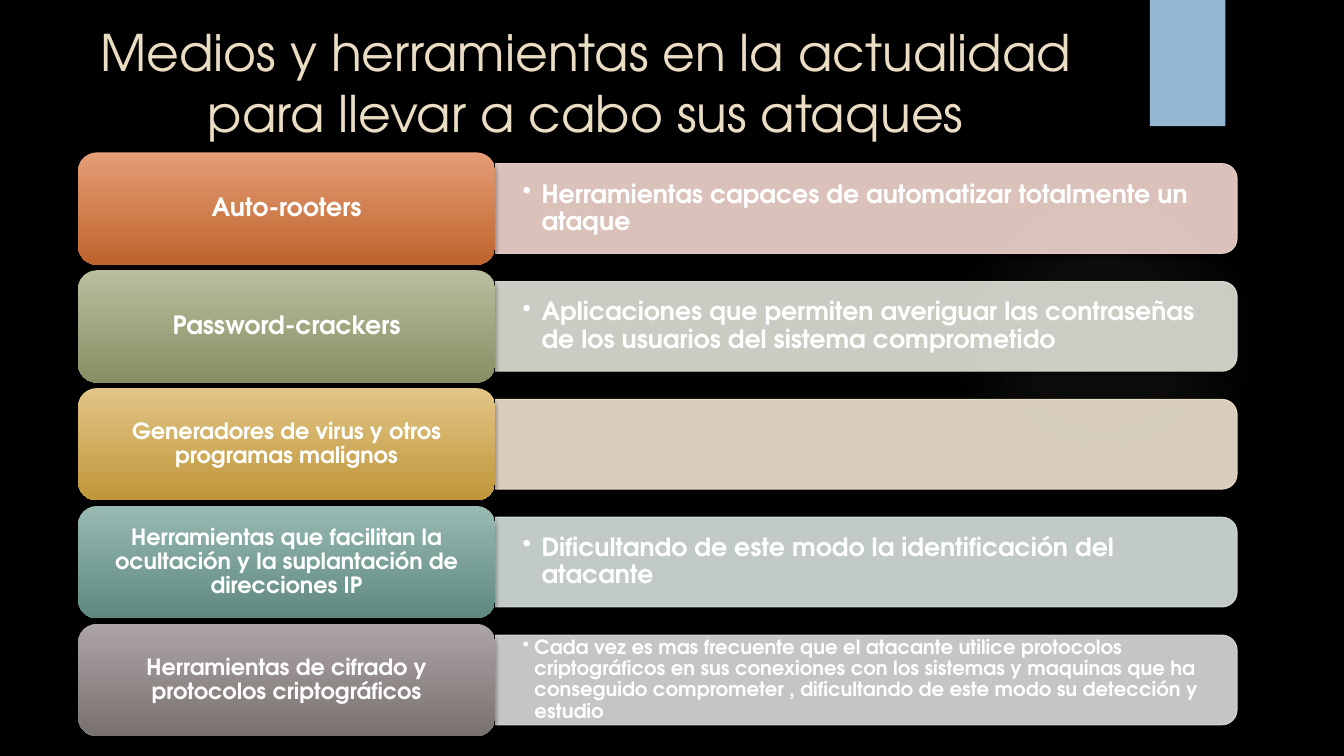
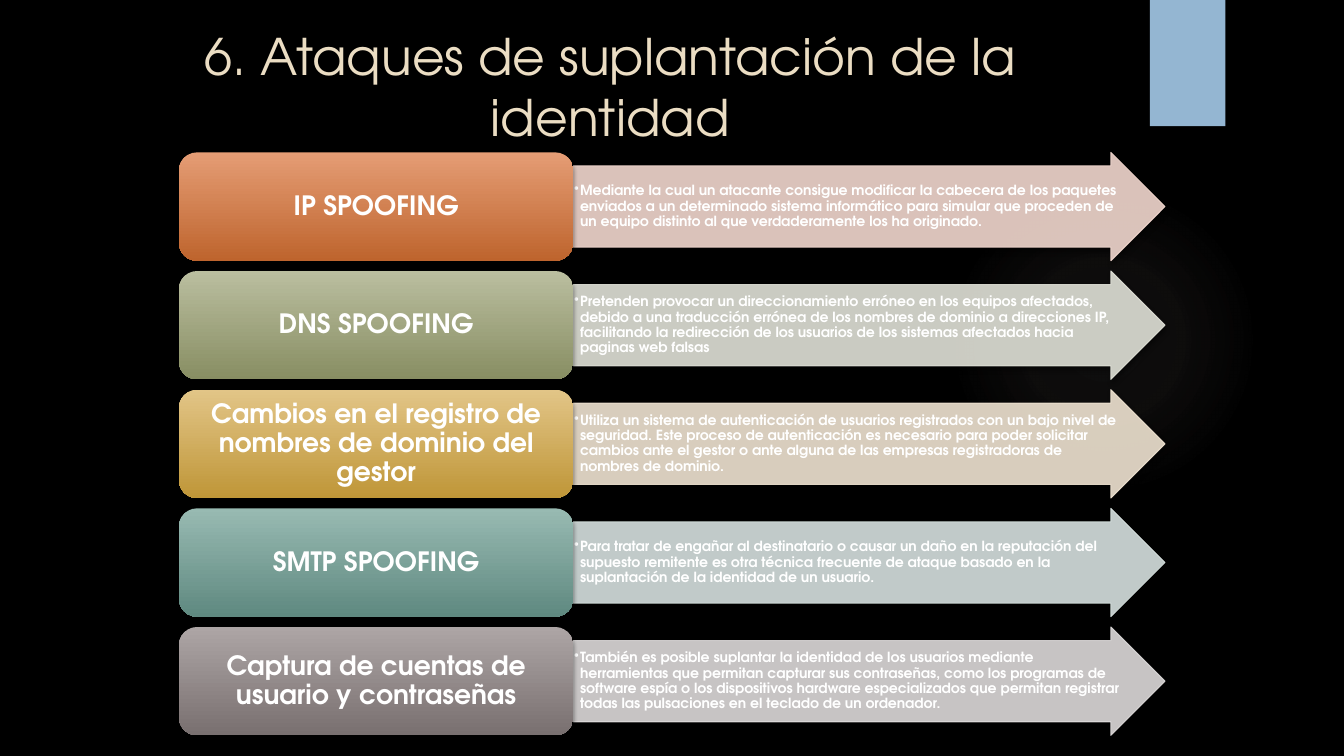
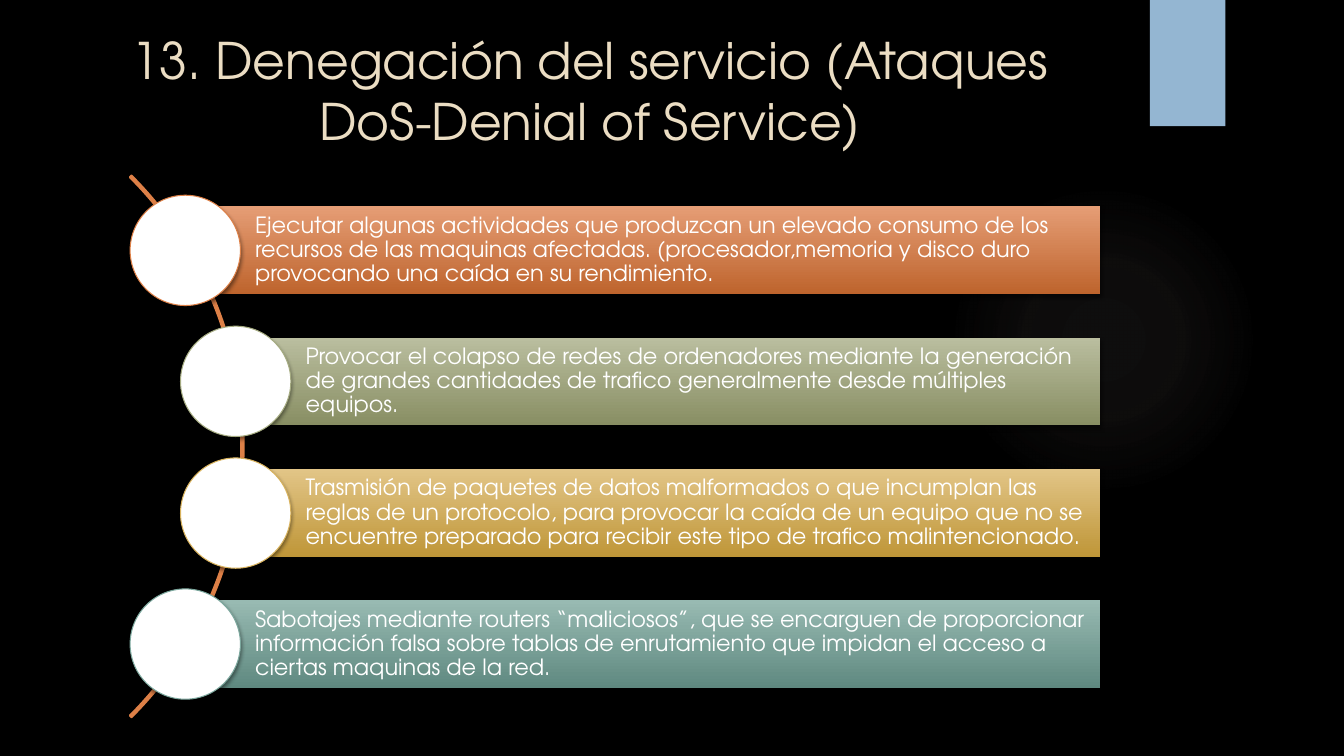
import pptx
import pptx.dml.color
import pptx.enum.dml
import pptx.enum.shapes
import pptx.enum.text
import pptx.oxml
import pptx.oxml.ns
import pptx.util
from dataclasses import dataclass
from typing import Any, Optional, Sequence

Cm = pptx.util.Cm
Pt = pptx.util.Pt
Shape = pptx.enum.shapes.MSO_SHAPE
Align = pptx.enum.text.PP_ALIGN
Anchor = pptx.enum.text.MSO_ANCHOR

# Shared look
FONT = "TeX Gyre Adventor"
BLACK, WHITE = "000000", "FFFFFF"
TITLE_COLOUR, RIBBON_COLOUR, GLOW_COLOUR = "EBDDC3", "94B6D2", "CCBEB8"
NAMESPACE = pptx.oxml.ns.nsdecls("a")


@dataclass(frozen=True)
class Accent:
    base: str
    light: str
    dark: str
    tint: str


ACCENTS = [
    Accent("DD8047", "E59D75", "BE642D", "F2D8CF"),
    Accent("A5AB81", "BABE9F", "888E63", "E1E2D8"),
    Accent("D8B25C", "E2C587", "BF9638", "F0E4D2"),
    Accent("7BA79D", "98BAB2", "5F8980", "D7E1DF"),
    Accent("968C8C", "ADA5A5", "797070", "DDDADA"),
]


@dataclass(frozen=True)
class Box:
    """A rectangle in centimetres."""
    left: float
    top: float
    width: float
    height: float

    @property
    def middle(self) -> float:
        return self.top + self.height / 2

    def lengths(self) -> list[Any]:
        return [Cm(round(v, 2)) for v in (self.left, self.top, self.width, self.height)]


@dataclass(frozen=True)
class TextStyle:
    size: float
    colour: str = WHITE
    bold: bool = False
    align: Any = Align.LEFT
    anchor: Any = Anchor.MIDDLE
    insets: tuple[float, float, float, float] = (0.1, 0.1, 0.1, 0.1)
    spacing: float = 0.9
    hang: float = 0


@dataclass(frozen=True)
class Row:
    label: str
    detail: str = ""
    label_size: float = 19
    detail_size: float = 10
    hang: float = 0.15


# Content
TOOLS = [
    Row("Auto-rooters", "Herramientas capaces de automatizar totalmente un ataque", 18, 18, 0.48),
    Row("Password-crackers", "Aplicaciones que permiten averiguar las contraseñas de los usuarios "
        "del sistema comprometido", 18, 18, 0.48),
    Row("Generadores de virus y otros programas malignos", label_size=16),
    Row("Herramientas que facilitan la ocultación y la suplantación de direcciones IP",
        "Dificultando de este modo la identificación del atacante", 16, 18, 0.48),
    Row("Herramientas de cifrado y protocolos criptográficos",
        "Cada vez es mas frecuente que el atacante utilice protocolos criptográficos en sus "
        "conexiones con los sistemas y maquinas que ha conseguido comprometer , dificultando "
        "de este modo su detección y estudio", 16, 14, 0.3),
]

SPOOFING = [
    Row("IP SPOOFING", "Mediante la cual un atacante consigue modificar la cabecera de los "
        "paquetes enviados a un determinado sistema informático para simular que proceden de un "
        "equipo distinto al que verdaderamente los ha originado."),
    Row("DNS SPOOFING", "Pretenden provocar un direccionamiento erróneo en los equipos afectados, "
        "debido a una traducción errónea de los nombres de dominio a direcciones IP, facilitando "
        "la redirección de los usuarios de los sistemas afectados hacia paginas web falsas"),
    Row("Cambios en el registro de nombres de dominio del gestor",
        "Utiliza un sistema de autenticación de usuarios registrados con un bajo nivel de "
        "seguridad. Este proceso de autenticación es necesario para poder solicitar cambios ante "
        "el gestor o ante alguna de las empresas registradoras de nombres de dominio."),
    Row("SMTP SPOOFING", "Para tratar de engañar al destinatario o causar un daño en la reputación "
        "del supuesto remitente es otra técnica frecuente de ataque basado en la suplantación de "
        "la identidad de un usuario."),
    Row("Captura de cuentas de usuario y contraseñas",
        "También es posible suplantar la identidad de los usuarios mediante herramientas que "
        "permitan capturar sus contraseñas, como los programas de software espía o los "
        "dispositivos hardware especializados que permitan registrar todas las pulsaciones en el "
        "teclado de un ordenador."),
]

DENIALS = [
    "Ejecutar algunas actividades que produzcan un elevado consumo de los recursos de las maquinas "
    "afectadas. (procesador,memoria y disco duro provocando una caída en su rendimiento.",
    "Provocar el colapso de redes de ordenadores mediante la generación de grandes cantidades de "
    "trafico generalmente desde múltiples equipos.",
    "Trasmisión de paquetes de datos malformados o que incumplan las reglas de un protocolo, para "
    "provocar la caída de un equipo que no se encuentre preparado para recibir este tipo de "
    "trafico malintencionado.",
    "Sabotajes mediante routers “maliciosos”, que se encarguen de proporcionar información falsa "
    "sobre tablas de enrutamiento que impidan el acceso a ciertas maquinas de la red.",
]


# Drawing helpers
def rgb(colour: str) -> Any:
    return pptx.dml.color.RGBColor.from_string(colour)


def colour_xml(colour: str, alpha: float) -> str:
    return f'<a:srgbClr val="{colour}"><a:alpha val="{round(alpha * 1000)}"/></a:srgbClr>'


def set_alpha(colour_parent: Any, percent: float) -> None:
    """Makes the solid colour of a fill or line partly transparent."""
    for colour in colour_parent.iter(pptx.oxml.ns.qn("a:srgbClr")):
        colour.append(pptx.oxml.parse_xml(
            f'<a:alpha {NAMESPACE} val="{round(percent * 1000)}"/>'))


def set_gradient(shape: Any, stops: Sequence[tuple[float, str, float]], direction: str) -> None:
    shape.fill.background()
    empty_fill = shape._element.spPr.find(pptx.oxml.ns.qn("a:noFill"))
    stop_list = "".join(f'<a:gs pos="{round(pos * 1000)}">{colour_xml(colour, alpha)}</a:gs>'
                        for pos, colour, alpha in stops)
    gradient = pptx.oxml.parse_xml(
        f'<a:gradFill {NAMESPACE} rotWithShape="1"><a:gsLst>{stop_list}</a:gsLst>'
        f'{direction}</a:gradFill>')
    shape._element.spPr.replace(empty_fill, gradient)


def shade(shape: Any, accent: Accent) -> None:
    set_gradient(shape, [(0, accent.light, 100), (100, accent.dark, 100)],
                 '<a:lin ang="5400000" scaled="0"/>')


def add_shape(slide: Any, kind: Any, box: Box, fill: Optional[str] = None,
              line: Optional[str] = None, weight: float = 0.75, shadow: bool = True) -> Any:
    shape = slide.shapes.add_shape(kind, *box.lengths())
    if fill:
        shape.fill.solid()
        shape.fill.fore_color.rgb = rgb(fill)
    else:
        shape.fill.background()
    if line:
        shape.line.color.rgb = rgb(line)
        shape.line.width = Pt(weight)
    else:
        shape.line.fill.background()
    shape.shadow.inherit = False
    if shadow:
        effects = shape._element.spPr.find(pptx.oxml.ns.qn("a:effectLst"))
        effects.append(pptx.oxml.parse_xml(
            f'<a:outerShdw {NAMESPACE} blurRad="{Pt(3)}" dist="{Pt(2)}" dir="5400000" '
            f'rotWithShape="0">{colour_xml(BLACK, 45)}</a:outerShdw>'))
    return shape


def add_tinted(slide: Any, kind: Any, box: Box, accent: Accent) -> Any:
    shape = add_shape(slide, kind, box, accent.tint, accent.tint)
    set_alpha(shape._element.spPr.find(pptx.oxml.ns.qn("a:solidFill")), 90)
    set_alpha(shape._element.spPr.find(pptx.oxml.ns.qn("a:ln")), 90)
    return shape


def write(shape: Any, text: str, style: TextStyle) -> None:
    frame = shape.text_frame
    frame.word_wrap = True
    frame.vertical_anchor = style.anchor
    (frame.margin_left, frame.margin_top,
     frame.margin_right, frame.margin_bottom) = map(Cm, style.insets)
    frame.text = text
    paragraph = frame.paragraphs[0]
    if style.hang:
        properties = paragraph._p.get_or_add_pPr()
        properties.set("marL", str(Cm(style.hang)))
        properties.set("indent", str(-Cm(style.hang)))
        properties.append(pptx.oxml.parse_xml(f'<a:buChar {NAMESPACE} char="•"/>'))
    paragraph.alignment = style.align
    paragraph.line_spacing = style.spacing
    for run in paragraph.runs:
        run.font.name = FONT
        run.font.size = Pt(style.size)
        run.font.bold = style.bold
        run.font.color.rgb = rgb(style.colour)


def add_text(slide: Any, box: Box, text: str, style: TextStyle) -> None:
    write(slide.shapes.add_textbox(*box.lengths()), text, style)


def add_label(slide: Any, box: Box, row: Row, accent: Accent) -> None:
    label = add_shape(slide, Shape.ROUNDED_RECTANGLE, box)
    shade(label, accent)
    write(label, row.label, TextStyle(row.label_size, bold=True, align=Align.CENTER,
                                      insets=(0.2, 0.1, 0.2, 0.1)))


def add_page(deck: Any, title: str, title_box: Box) -> Any:
    """Starts a slide with the glow, the ribbon and the title."""
    slide = deck.slides.add_slide(deck.slide_layouts[6])
    glow = add_shape(slide, Shape.OVAL, Box(23.9, 4.65, 7.82, 7.82), shadow=False)
    set_gradient(glow, [(0, GLOW_COLOUR, 7), (36, GLOW_COLOUR, 6), (69, GLOW_COLOUR, 0)],
                 '<a:path path="circle"><a:fillToRect l="50000" t="50000" r="50000" b="50000"/>'
                 '</a:path>')
    add_shape(slide, Shape.RECTANGLE, Box(28.98, 0, 1.9, 3.18), RIBBON_COLOUR)
    add_text(slide, title_box, title,
             TextStyle(36, TITLE_COLOUR, align=Align.CENTER, anchor=Anchor.TOP,
                       insets=(0.25, 0.13, 0.25, 0.13), spacing=1.0))
    return slide


# Slides
def tools_slide(deck: Any) -> None:
    slide = add_page(deck, "Medios y herramientas en la actualidad para llevar a cabo sus ataques",
                     Box(1.07, 0.41, 27.38, 2.77))
    bar_length, bar_height, text_height = 18.69, 2.26, 2.03
    for index, (row, accent) in enumerate(zip(TOOLS, ACCENTS)):
        label_box = Box(1.97, 3.84 + index * 2.97, 10.51, 2.83)
        bar_left = label_box.left + label_box.width
        # The upright bar is turned so that its rounded corners face right
        upright = Box(bar_left + (bar_length - bar_height) / 2, label_box.middle - bar_length / 2,
                      bar_height, bar_length)
        bar = add_tinted(slide, Shape.ROUND_2_SAME_RECTANGLE, upright, accent)
        bar.rotation = 90
        if row.detail:
            add_text(slide, Box(bar_left, label_box.middle - text_height / 2, 18.59, text_height),
                     row.detail, TextStyle(row.detail_size, bold=True, hang=row.hang,
                                           insets=(0.69, 0.35, 0.69, 0.35)))
        add_label(slide, label_box, row, accent)


def spoofing_slide(deck: Any) -> None:
    slide = add_page(deck, "6. Ataques de suplantación de la identidad",
                     Box(2.31, 0.51, 26.14, 2.82))
    for index, (row, accent) in enumerate(zip(SPOOFING, ACCENTS)):
        label_box = Box(4.51, 3.84 + index * 2.99, 9.94, 2.73)
        arrow_box = Box(label_box.left + label_box.width, label_box.top, 14.91, label_box.height)
        arrow = add_tinted(slide, Shape.RIGHT_ARROW, arrow_box, accent)
        arrow.adjustments[0] = 0.75
        write(arrow, row.detail, TextStyle(row.detail_size, bold=True, hang=row.hang,
                                           insets=(0.02, 0.02, 0.02, 0.02)))
        add_label(slide, label_box, row, accent)


def denial_slide(deck: Any) -> None:
    slide = add_page(deck, "13. Denegación del servicio (Ataques DoS-Denial of Service)",
                     Box(1.8, 0.61, 26.14, 3.89))
    # Thin arc from 315 to 45 degrees
    arc = add_shape(slide, Shape.BLOCK_ARC, Box(-13.16, 1.6, 19.3, 19.3),
                    line=ACCENTS[0].base, weight=1.5, shadow=False)
    for index, value in enumerate((189, 27, 0.003)):
        arc.adjustments[index] = value
    right_edge, diameter = 27.72, 2.78
    lefts = (4.67, 5.94, 5.94, 4.67)
    for index, (text, left, accent) in enumerate(zip(DENIALS, lefts, ACCENTS)):
        band_box = Box(left, 5.2 + index * 3.31, right_edge - left, 2.21)
        band = add_shape(slide, Shape.RECTANGLE, band_box)
        shade(band, accent)
        write(band, text, TextStyle(16, insets=(1.76, 0.1, 0.1, 0.1)))
        add_shape(slide, Shape.OVAL,
                  Box(left - diameter / 2, band_box.middle - diameter / 2, diameter, diameter),
                  WHITE, accent.base)


def main() -> None:
    deck = pptx.Presentation()
    deck.slide_width, deck.slide_height = Cm(33.87), Cm(19.05)
    backdrop = deck.slide_master.background.fill
    backdrop.solid()
    backdrop.fore_color.rgb = rgb(BLACK)
    tools_slide(deck)
    spoofing_slide(deck)
    denial_slide(deck)
    deck.save("out.pptx")


if __name__ == "__main__":
    main()
